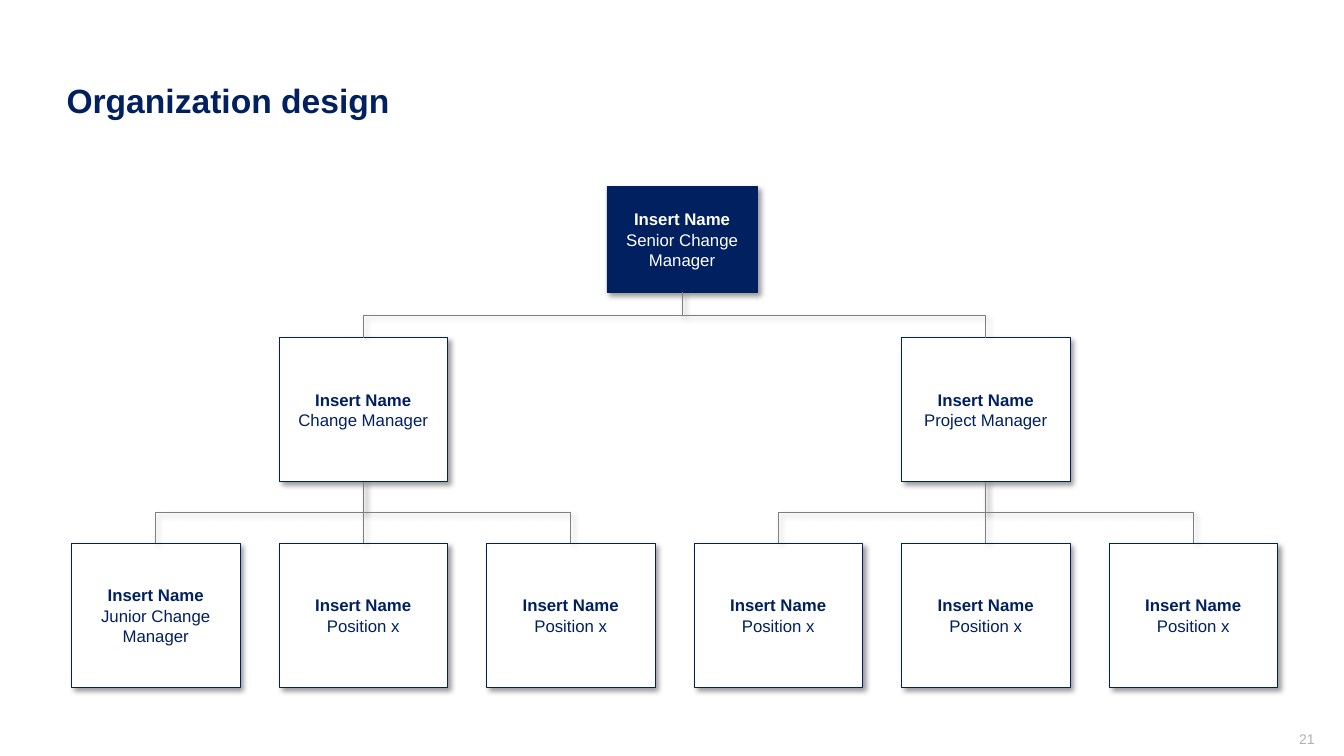
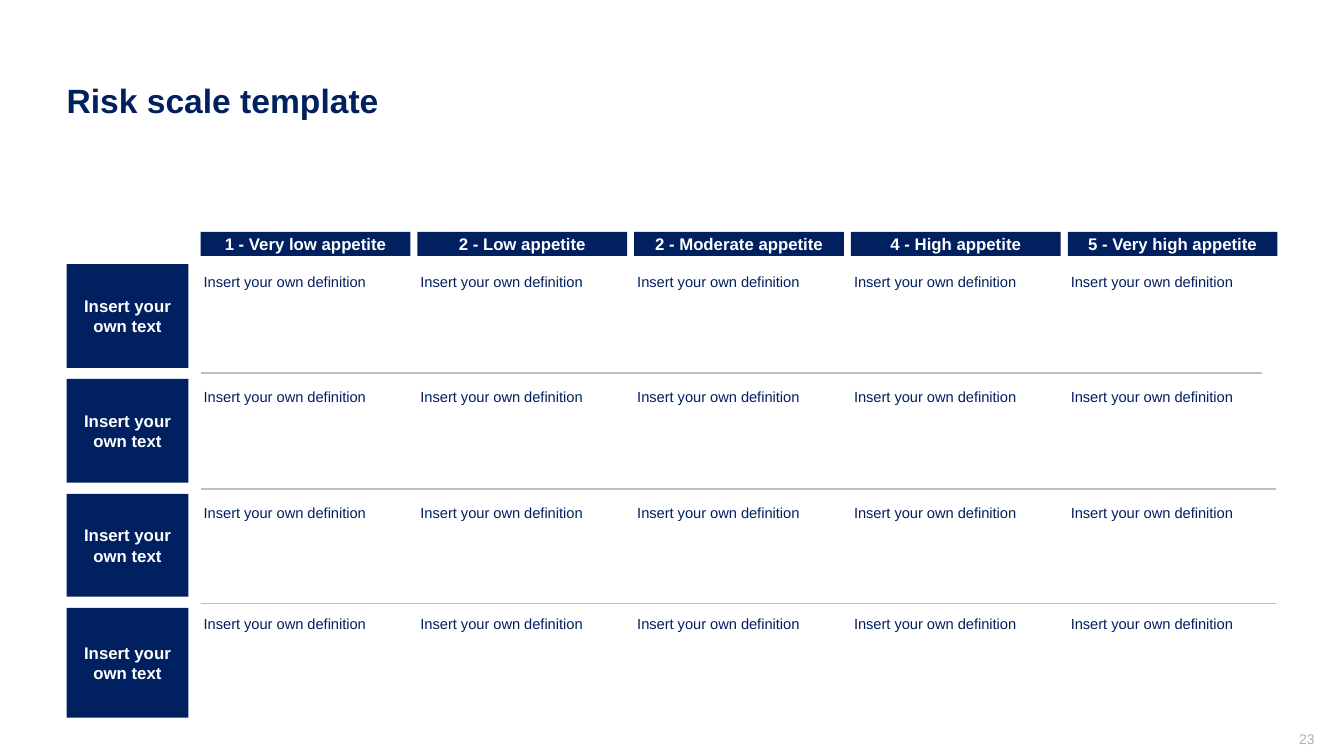
"""Build an organization chart and a risk scale slide."""
from dataclasses import dataclass

from lxml.etree import SubElement
from pptx import Presentation
from pptx.dml.color import RGBColor
from pptx.enum.shapes import MSO_CONNECTOR, MSO_SHAPE
from pptx.enum.text import MSO_ANCHOR, MSO_AUTO_SIZE, PP_ALIGN
from pptx.oxml.ns import qn
from pptx.util import Inches, Pt


@dataclass(frozen=True)
class Theme:
    face: str = "Arial"
    navy: RGBColor = RGBColor(0x00, 0x20, 0x60)
    white: RGBColor = RGBColor(0xFF, 0xFF, 0xFF)
    gray: RGBColor = RGBColor(0x7F, 0x7F, 0x7F)
    rule: RGBColor = RGBColor(0xBF, 0xBF, 0xBF)
    pale: RGBColor = RGBColor(0xAD, 0xAF, 0xBB)
    head: Pt = Pt(24)
    label: Pt = Pt(12)
    small: Pt = Pt(10.5)
    foot: Pt = Pt(10)


theme = Theme()


def write(shape, lines, size, color, align, inset):
    frame = shape.text_frame
    frame.word_wrap = True
    frame.auto_size = MSO_AUTO_SIZE.NONE
    frame.vertical_anchor = MSO_ANCHOR.MIDDLE
    frame.margin_left, frame.margin_top, frame.margin_right, frame.margin_bottom = map(Inches, inset)
    frame.text = "\n".join(text for text, bold in lines)
    for para, (text, bold) in zip(frame.paragraphs, lines):
        para.alignment = align
        para.font.name = theme.face
        para.font.size = size
        para.font.bold = bold
        para.font.color.rgb = color
    return frame


def block(slide, spot, lines, fill, color, inset):
    shape = slide.shapes.add_shape(MSO_SHAPE.RECTANGLE, *map(Inches, spot))
    shape.shadow.inherit = False
    shape.fill.solid()
    shape.fill.fore_color.rgb = fill
    shape.line.fill.background()
    write(shape, lines, theme.label, color, PP_ALIGN.CENTER, [inset] * 4)
    return shape


deck = Presentation()
deck.slide_width, deck.slide_height = Inches(13.33), Inches(7.5)
layout = deck.slide_layouts.get_by_name("Title Only")
title = layout.placeholders[0]
title.left, title.top, title.width, title.height = map(Inches, (0.56, 0.4, 12.11, 1.19))

slides = []
for name, number in (("Organization design", "21"), ("Risk scale template", "23")):
    slide = deck.slides.add_slide(layout)
    write(slide.shapes.title, [(name, True)], theme.head, theme.navy, PP_ALIGN.LEFT, (0.1, 0.05, 0.1, 0.05))
    foot = slide.shapes.add_textbox(*map(Inches, (10.04, 7.25, 3, 0.21)))
    write(foot, [(number, False)], theme.foot, theme.pale, PP_ALIGN.RIGHT, (0.1, 0, 0, 0.05))
    slides.append(slide)
org, risk = slides

wide, tall = 1.67, 1.43
cols = [0.71 + (11 - 0.71) / 5 * col for col in range(6)]
staff = [
    ("Senior Change Manager", (6.02, 1.85, 1.49, 1.05), None),
    ("Change Manager", (cols[1], 3.35, wide, tall), 0),
    ("Project Manager", (cols[4], 3.35, wide, tall), 0),
]
jobs = ["Junior Change Manager"] + ["Position x"] * 5
staff += [(job, (left, 5.39, wide, tall), 1 + col // 3) for col, (job, left) in enumerate(zip(jobs, cols))]

cards, links = [], []
for job, spot, boss in staff:
    fill, color = (theme.navy, theme.white) if boss is None else (theme.white, theme.navy)
    card = block(org, spot, [("Insert Name", True), (job, False)], fill, color, 0.02)
    card.line.color.rgb = theme.navy
    card.line.width = Pt(0.5)
    cards.append(card)

for card, (job, spot, boss) in zip(cards, staff):
    if boss is None:
        continue
    lead = cards[boss]
    start, end = lead.left + lead.width // 2, card.left + card.width // 2
    top, drop, span = lead.top + lead.height, card.top - lead.top - lead.height, abs(end - start)
    bent = span > Inches(0.1)
    kind = MSO_CONNECTOR.ELBOW if bent else MSO_CONNECTOR.STRAIGHT
    link = org.shapes.add_connector(kind, start, top, end, card.top)
    link.begin_connect(lead, 2)
    link.end_connect(card, 0)
    if bent:
        xfrm = link._element.spPr.xfrm
        xfrm.off.x = (start + end - drop) // 2
        xfrm.off.y = top + (drop - span) // 2
        xfrm.ext.cx, xfrm.ext.cy = drop, span
        xfrm.rot = 270 if end > start else 90
        xfrm.flipH, xfrm.flipV = end > start, False
    link.line.color.rgb = theme.gray
    link.line.width = Pt(0.5)
    SubElement(link._element.spPr, qn("a:effectLst"))
    links.append(link)

for item in cards + links:
    glow = SubElement(item._element.spPr.find(qn("a:effectLst")), qn("a:outerShdw"),
                      blurRad=str(Pt(4)), dist=str(Pt(3)), dir="2700000", algn="tl", rotWithShape="0")
    tint = SubElement(glow, qn("a:srgbClr"), val="000000")
    SubElement(tint, qn("a:alpha"), val="40000")

levels = ["1 - Very low appetite", "2 - Low appetite", "2 - Moderate appetite",
          "4 - High appetite", "5 - Very high appetite"]
lefts = [1.99 + 2.15 * col for col in range(len(levels))]
for level, left in zip(levels, lefts):
    band = block(risk, (left, 2.3, 2.08, 0.24), [(level, True)], theme.navy, theme.white, 0.06)
    band.text_frame.word_wrap = False

rows = [(2.62, 1.03, 2.71), (3.76, 1.03, 3.85), (4.9, 1.02, 5), (6.03, 1.09, 6.1)]
for top, high, line in rows:
    block(risk, (0.66, top, 1.21, high), [("Insert your own text", True)], theme.navy, theme.white, 0.06)
    for left in lefts:
        note = risk.shapes.add_textbox(*map(Inches, (left + 0.03, line, 2.08, 0.18)))
        frame = write(note, [("Insert your own definition", False)], theme.small, theme.navy,
                      PP_ALIGN.LEFT, [0] * 4)
        frame.vertical_anchor = MSO_ANCHOR.TOP

for high, end in ((3.7, 12.52), (4.85, 12.66), (5.99, 12.66)):
    rule = risk.shapes.add_connector(MSO_CONNECTOR.STRAIGHT, *map(Inches, (1.99, high, end, high)))
    rule.line.color.rgb = theme.rule
    rule.line.width = Pt(1)
    SubElement(rule._element.spPr, qn("a:effectLst"))

deck.save("out.pptx")
